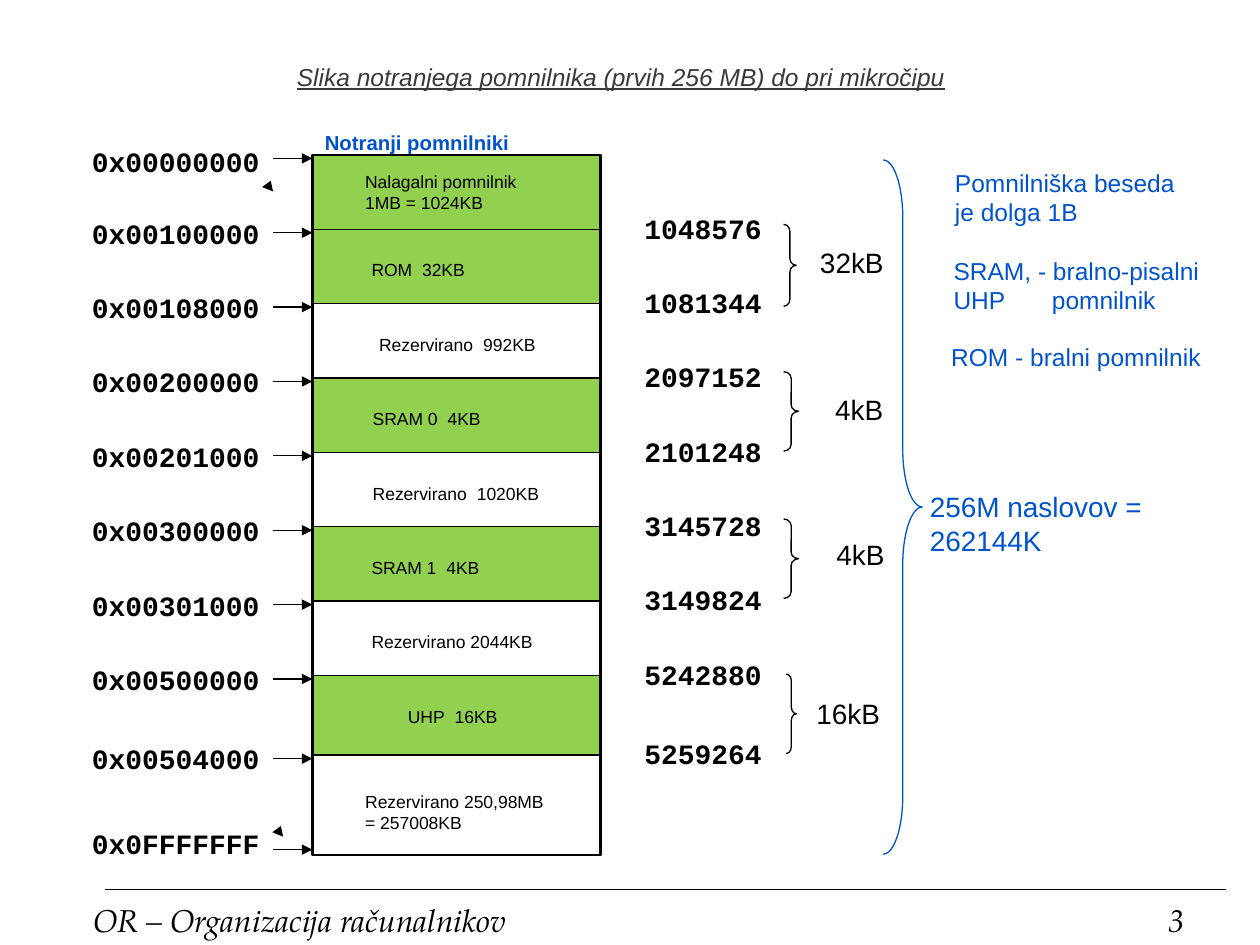
"""Builds a slide with the memory map of a microcontroller."""
from dataclasses import dataclass
from itertools import accumulate

from lxml.etree import SubElement
from pptx import Presentation
from pptx.enum.shapes import MSO_CONNECTOR, MSO_SHAPE
from pptx.enum.text import PP_ALIGN
from pptx.dml.color import RGBColor
from pptx.oxml.ns import qn
from pptx.util import Pt

HUES = {"ink": "000000", "blue": "0053CC", "green": "92D050",
        "white": "FFFFFF", "gray": "393939"}
LEFT, TOP, EDGE = 179.3, 88.5, 178.5


@dataclass
class Style:
    """Look of a run of text."""
    size: float
    face: str = "Arial"
    hue: str = "ink"
    bold: bool = False
    slant: bool = False
    under: bool = False
    lift: int = 0


@dataclass
class Cell:
    """One block of the memory column, with its start address."""
    code: str
    lines: list
    hue: str
    x: float
    drop: float = 13.7
    wide: float = 111.6
    high: float = 42.5
    stop: float = 0
    rise: float = 11
    value: str = ""


@dataclass
class Brace:
    """A curly brace with the size it stands for."""
    x: float
    y: float
    wide: float
    high: float
    label: str
    lx: float
    ly: float


CODE = Style(16, "Courier New", bold=True)
SMALL = Style(10)
SIZE = Style(16)
NOTE = Style(14, hue="blue")
FOOT = Style(18, "TeX Gyre Pagella", slant=True)

CELLS = [
    Cell("0x00000000", ["Nalagalni pomnilnik 1MB = 1024KB"], "green", 201.6,
         5.8, 117.4, rise=9.3),
    Cell("0x00100000", ["ROM\t32KB"], "green", 205.2, stop=28.9, value="1048576"),
    Cell("0x00108000", ["Rezervirano\t992KB"], "white", 209.5, stop=59.5,
         value="1081344"),
    Cell("0x00200000", ["SRAM 0\t4KB"], "green", 205.9, stop=42.8, value="2097152"),
    Cell("0x00201000", ["Rezervirano\t1020KB"], "white", 205.9, stop=59.5,
         value="2101248"),
    Cell("0x00300000", ["SRAM 1\t4KB"], "green", 205.2, stop=42.8, value="3145728"),
    Cell("0x00301000", ["Rezervirano 2044KB"], "white", 205.2, value="3149824"),
    Cell("0x00500000", ["UHP\t16KB"], "green", 226, wide=68, high=45.5,
         stop=26.7, value="5242880"),
    Cell("0x00504000", ["Rezervirano 250,98MB", "= 257008KB"], "white", 201.6,
         17, 123.8, 57, value="5259264"),
]
BRACES = [
    Brace(447.8, 128.2, 7.2, 46.8, "32kB", 461.5, 136.8),
    Brace(447.8, 212.4, 8.6, 45.4, "4kB", 470.2, 221),
    Brace(447.8, 296.6, 8.6, 45.4, "4kB", 470.9, 303.8),
    Brace(449.3, 385.2, 5.8, 45.4, "16kB", 459.4, 394.6),
]


def tint(hue: str) -> RGBColor:
    """Turn a colour name into a colour."""
    return RGBColor.from_string(HUES[hue])


def write(page, x: float, y: float, wide: float, high: float, lines: list,
          look: Style, align=PP_ALIGN.LEFT, stop: float = 0):
    """Add a text box with one paragraph a line."""
    frame = page.shapes.add_textbox(Pt(x), Pt(y), Pt(wide), Pt(high)).text_frame
    frame.word_wrap = True
    for i, line in enumerate(lines):
        para = frame.add_paragraph() if i else frame.paragraphs[0]
        para.alignment = align
        if stop:
            tabs = SubElement(para._p.get_or_add_pPr(), qn("a:tabLst"))
            SubElement(tabs, qn("a:tab"), pos=str(Pt(stop)), algn="l")
        run = para.add_run()
        run.text = line
        font = run.font
        font.name, font.size = look.face, Pt(look.size)
        font.bold, font.italic, font.underline = look.bold, look.slant, look.under
        font.color.rgb = tint(look.hue)
        if look.lift:
            run._r.get_or_add_rPr().set("baseline", str(look.lift * 1000))
    return frame


def block(page, x: float, y: float, wide: float, high: float, hue: str,
          thick: float) -> None:
    """Add a filled rectangle with a black outline."""
    box = page.shapes.add_shape(MSO_SHAPE.RECTANGLE, Pt(x), Pt(y), Pt(wide), Pt(high))
    box.shadow.inherit = False
    box.fill.solid()
    box.fill.fore_color.rgb = tint(hue)
    box.line.color.rgb = tint("ink")
    box.line.width = Pt(thick)


def curl(page, x: float, y: float, wide: float, high: float, hue: str) -> None:
    """Add a right brace."""
    arc = page.shapes.add_shape(MSO_SHAPE.RIGHT_BRACE, Pt(x), Pt(y), Pt(wide), Pt(high))
    arc.shadow.inherit = False
    arc.adjustments[0] = high / wide / 12
    arc.fill.background()
    arc.line.color.rgb = tint(hue)
    arc.line.width = Pt(0.75)


def rule(page, x: float, y: float, end: float, thick: float = 0.75,
         head: bool = True) -> None:
    """Add a level line, with an arrowhead if wanted."""
    line = page.shapes.add_connector(MSO_CONNECTOR.STRAIGHT, Pt(x), Pt(y), Pt(end), Pt(y))
    line.line.color.rgb = tint("ink")
    line.line.width = Pt(thick)
    if head:
        SubElement(line.line._get_or_add_ln(), qn("a:tailEnd"), type="triangle")
    SubElement(line._element.spPr, qn("a:effectLst"))


def wedge(page, x: float, y: float) -> None:
    """Add a small black triangle."""
    pen = page.shapes.build_freeform(Pt(x), Pt(y))
    pen.add_line_segments([(Pt(x + 4.9), Pt(y - 3.6)), (Pt(x + 6.2), Pt(y + 2.5))])
    tip = pen.convert_to_shape()
    tip.shadow.inherit = False
    tip.fill.solid()
    tip.fill.fore_color.rgb = tint("ink")
    tip.line.fill.background()


def mark(page, code: str, y: float, tip: float) -> None:
    """Add an address and its arrow to the column."""
    write(page, 45.4, y, 113.8, 26.6, [code], CODE)
    rule(page, 156.2, tip, EDGE)


def main() -> None:
    """Build and save the slide."""
    deck = Presentation()
    deck.slide_width, deck.slide_height = Pt(720), Pt(540)
    page = deck.slides.add_slide(deck.slide_layouts[6])

    write(page, 46.1, 511.2, 282.2, 28.8, ["OR – Organizacija računalnikov"], FOOT)
    write(page, 624.2, 511.2, 95.8, 31.7, ["3"], FOOT, PP_ALIGN.CENTER)
    rule(page, 59.8, 508.3, 700.6, 1, False)
    write(page, 31, 31.7, 648, 29.5,
          ["Slika notranjega pomnilnika (prvih 256 MB) do pri mikročipu"],
          Style(14, hue="gray", slant=True, under=True), PP_ALIGN.CENTER)

    block(page, EDGE, TOP, 165, 400, "white", 1.5)
    tops = list(accumulate((c.high for c in CELLS), initial=TOP))
    for cell, y in zip(CELLS, tops):
        block(page, LEFT, y, 163.4, cell.high, cell.hue, 0.75)
        write(page, cell.x, y + cell.drop, cell.wide, 19.4, cell.lines, SMALL,
              stop=cell.stop)
        mark(page, cell.code, y - cell.rise, y + 2)
        if cell.value:
            write(page, 361.1, y - 13.9, 111.6, 26.6, [cell.value], CODE)
    mark(page, "0x0FFFFFFF", tops[-1] - 19.5, tops[-1] - 3)
    wedge(page, 149.8, 106.9)
    wedge(page, 155.6, 475.6)

    head = write(page, EDGE, 65.5, 166.3, 30.2, ["Notranji pomnilniki"],
                 Style(20, hue="blue", bold=True, lift=30))
    head.margin_top, head.margin_bottom = Pt(6.5), Pt(0)

    for b in BRACES:
        curl(page, b.x, b.y, b.wide, b.high, "ink")
        write(page, b.lx, b.ly, 58, 26.6, [b.label], SIZE)
    curl(page, 504.7, 91.4, 22.3, 396.7, "blue")
    write(page, 524.2, 276.5, 142, 64.8, ["256M naslovov =", "262144K"],
          Style(16, hue="blue"))
    write(page, 538.6, 92.2, 148, 41, ["Pomnilniška beseda", "je dolga 1B"], NOTE)
    write(page, 537.8, 142.6, 159.8, 41,
          ["SRAM, - bralno-pisalni", "UHP\tpomnilnik"], NOTE, stop=56.2)
    write(page, 536.4, 192.2, 164.2, 24.5, ["ROM - bralni pomnilnik"], NOTE)
    deck.save("out.pptx")


if __name__ == "__main__":
    main()
